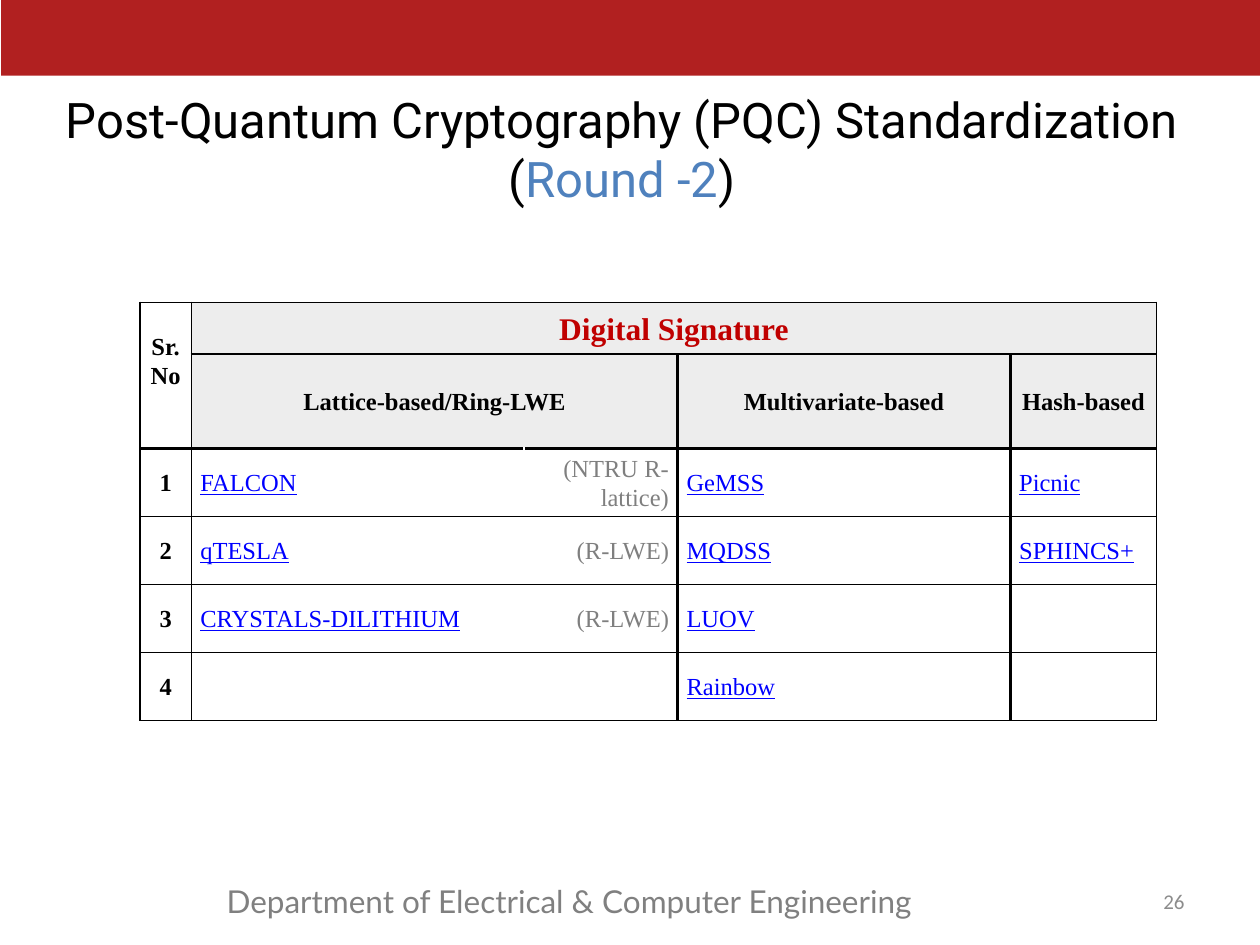
from dataclasses import dataclass

from lxml.etree import SubElement
from pptx import Presentation
from pptx.dml.color import RGBColor
from pptx.enum.shapes import MSO_SHAPE
from pptx.enum.text import MSO_ANCHOR, PP_ALIGN
from pptx.oxml.ns import qn
from pptx.util import Inches, Pt

COLORS = {
    "banner": "B12020", "black": "000000", "white": "FFFFFF", "accent": "4F81BD",
    "heading": "C00000", "header_fill": "EDEDED", "link": "0000FF",
    "note": "7F7F7F", "footer": "808080", "number": "8C8C8C",
}


@dataclass
class TextStyle:
    font: str
    size: float
    color: str = "black"
    bold: bool = False
    underline: bool = False
    align: PP_ALIGN = PP_ALIGN.LEFT


@dataclass
class TableCell:
    row: int
    column: int
    text: str
    style: TextStyle
    fill: str = ""
    row_span: int = 1
    column_span: int = 1


SERIF = "Times New Roman"
TITLE = TextStyle("Roboto", 28, align=PP_ALIGN.CENTER)
FOOTER = TextStyle("Lato", 18, "footer")
PAGE_NUMBER = TextStyle("Calibri", 12, "number", align=PP_ALIGN.RIGHT)
HEADING = TextStyle(SERIF, 18, "heading", bold=True, align=PP_ALIGN.CENTER)
LABEL = TextStyle(SERIF, 14, bold=True, align=PP_ALIGN.CENTER)
LINK = TextStyle(SERIF, 14, "link", underline=True)
NOTE = TextStyle(SERIF, 14, "note", align=PP_ALIGN.RIGHT)

COLUMN_WIDTHS = [0.41, 2.64, 1.22, 2.64, 1.16]
ROW_HEIGHTS = [0.41, 0.55, 0.54, 0.54, 0.54, 0.54]

HEADER_CELLS = [
    TableCell(0, 0, "Sr. No\u00a0", LABEL, row_span=2),
    TableCell(0, 1, "Digital Signature", HEADING, "header_fill", column_span=4),
    TableCell(1, 1, "Lattice-based/Ring-LWE", LABEL, "header_fill", column_span=2),
    TableCell(1, 3, "Multivariate-based", LABEL, "header_fill"),
    TableCell(1, 4, "Hash-based", LABEL, "header_fill"),
]
BODY_STYLES = [LABEL, LINK, NOTE, LINK, LINK]
BODY_ROWS = [
    ["1", "FALCON", "(NTRU R-lattice)", "GeMSS", "Picnic"],
    ["2", "qTESLA", "(R-LWE)", "MQDSS", "SPHINCS+"],
    ["3", "CRYSTALS-DILITHIUM", "(R-LWE)", "LUOV", ""],
    ["4", "", "", "Rainbow", ""],
]

# Grid lines that differ from the thin black default, by boundary number
THIN = ("black", 1)
VERTICAL_LINES = {2: ("white", 1), 3: ("black", 2.25), 4: ("black", 2.25)}
HORIZONTAL_LINES = {2: ("black", 1.5)}


def rgb(name: str) -> RGBColor:
    return RGBColor.from_string(COLORS[name])


def format_paragraph(paragraph, style: TextStyle) -> None:
    paragraph.alignment = style.align
    for run in paragraph.runs:
        run.font.name = style.font
        run.font.size = Pt(style.size)
        run.font.bold = style.bold
        run.font.underline = style.underline
        run.font.color.rgb = rgb(style.color)


def add_text(slide, left: float, top: float, width: float, height: float,
             parts: list[str], style: TextStyle, anchor=MSO_ANCHOR.MIDDLE):
    shape = slide.shapes.add_textbox(Inches(left), Inches(top), Inches(width), Inches(height))
    text_frame = shape.text_frame
    text_frame.word_wrap = True
    text_frame.vertical_anchor = anchor
    paragraph = text_frame.paragraphs[0]
    for part in parts:
        paragraph.add_run().text = part
    format_paragraph(paragraph, style)
    return paragraph


def set_border(cell, side: str, line: tuple[str, float]) -> None:
    color, width = line
    border = SubElement(cell._tc.get_or_add_tcPr(), qn(f"a:ln{side}"), w=str(Pt(width)))
    fill = SubElement(border, qn("a:solidFill"))
    SubElement(fill, qn("a:srgbClr"), val=COLORS[color])


def set_block_borders(table, item: TableCell) -> None:
    """Draw the outer edges of a cell, together with the cells it spans."""
    bottom, right = item.row + item.row_span, item.column + item.column_span
    for row in range(item.row, bottom):
        for column in range(item.column, right):
            origin = (row, column) == (item.row, item.column)
            cell = table.cell(row, column)
            if column == item.column:
                set_border(cell, "L", VERTICAL_LINES.get(item.column, THIN))
            if origin or column == right - 1:
                set_border(cell, "R", VERTICAL_LINES.get(right, THIN))
            if row == item.row:
                set_border(cell, "T", HORIZONTAL_LINES.get(item.row, THIN))
            if origin or row == bottom - 1:
                set_border(cell, "B", HORIZONTAL_LINES.get(bottom, THIN))


def fill_cell(table, item: TableCell) -> None:
    cell = table.cell(item.row, item.column)
    if item.row_span * item.column_span > 1:
        cell.merge(table.cell(item.row + item.row_span - 1,
                              item.column + item.column_span - 1))
    cell.margin_left = cell.margin_right = Inches(0.07)
    cell.margin_top = cell.margin_bottom = 0
    cell.vertical_anchor = MSO_ANCHOR.MIDDLE
    set_block_borders(table, item)
    if item.fill:
        cell.fill.solid()
        cell.fill.fore_color.rgb = rgb(item.fill)
    else:
        cell.fill.background()
    if item.text:
        cell.text_frame.text = item.text
        paragraph = cell.text_frame.paragraphs[0]
        paragraph.line_spacing = 1.07
        format_paragraph(paragraph, item.style)


def add_signature_table(slide) -> None:
    table = slide.shapes.add_table(
        len(ROW_HEIGHTS), len(COLUMN_WIDTHS), Inches(1.11), Inches(2.4),
        Inches(sum(COLUMN_WIDTHS)), Inches(sum(ROW_HEIGHTS))).table
    table.first_row = table.horz_banding = False
    for column, width in zip(table.columns, COLUMN_WIDTHS):
        column.width = Inches(width)
    for row, height in zip(table.rows, ROW_HEIGHTS):
        row.height = Inches(height)
    body_cells = [
        TableCell(row, column, text, BODY_STYLES[column])
        for row, texts in enumerate(BODY_ROWS, start=2)
        for column, text in enumerate(texts)
    ]
    for item in HEADER_CELLS + body_cells:
        fill_cell(table, item)


def main() -> None:
    presentation = Presentation()
    presentation.slide_width, presentation.slide_height = Inches(10), Inches(7.5)
    slide = presentation.slides.add_slide(presentation.slide_layouts[6])

    # Banner
    banner = slide.shapes.add_shape(MSO_SHAPE.RECTANGLE, Inches(0.01), 0, Inches(10), Inches(0.6))
    banner.shadow.inherit = False
    banner.fill.solid()
    banner.fill.fore_color.rgb = rgb("banner")
    banner.line.fill.background()

    # Footer and page number
    add_text(slide, 1.7, 6.95, 5.77, 0.4, ["Department of Electrical & Computer Engineering"],
             FOOTER, MSO_ANCHOR.TOP)
    add_text(slide, 8.91, 6.95, 0.59, 0.4, ["26"], PAGE_NUMBER)

    # Title with the round picked out
    title = add_text(slide, 0.37, 0.81, 9.13, 0.74,
                     ["Post-Quantum Cryptography (PQC) Standardization (", "Round -2", ")"], TITLE)
    title.runs[1].font.color.rgb = rgb("accent")

    add_signature_table(slide)
    presentation.save("out.pptx")


if __name__ == "__main__":
    main()
